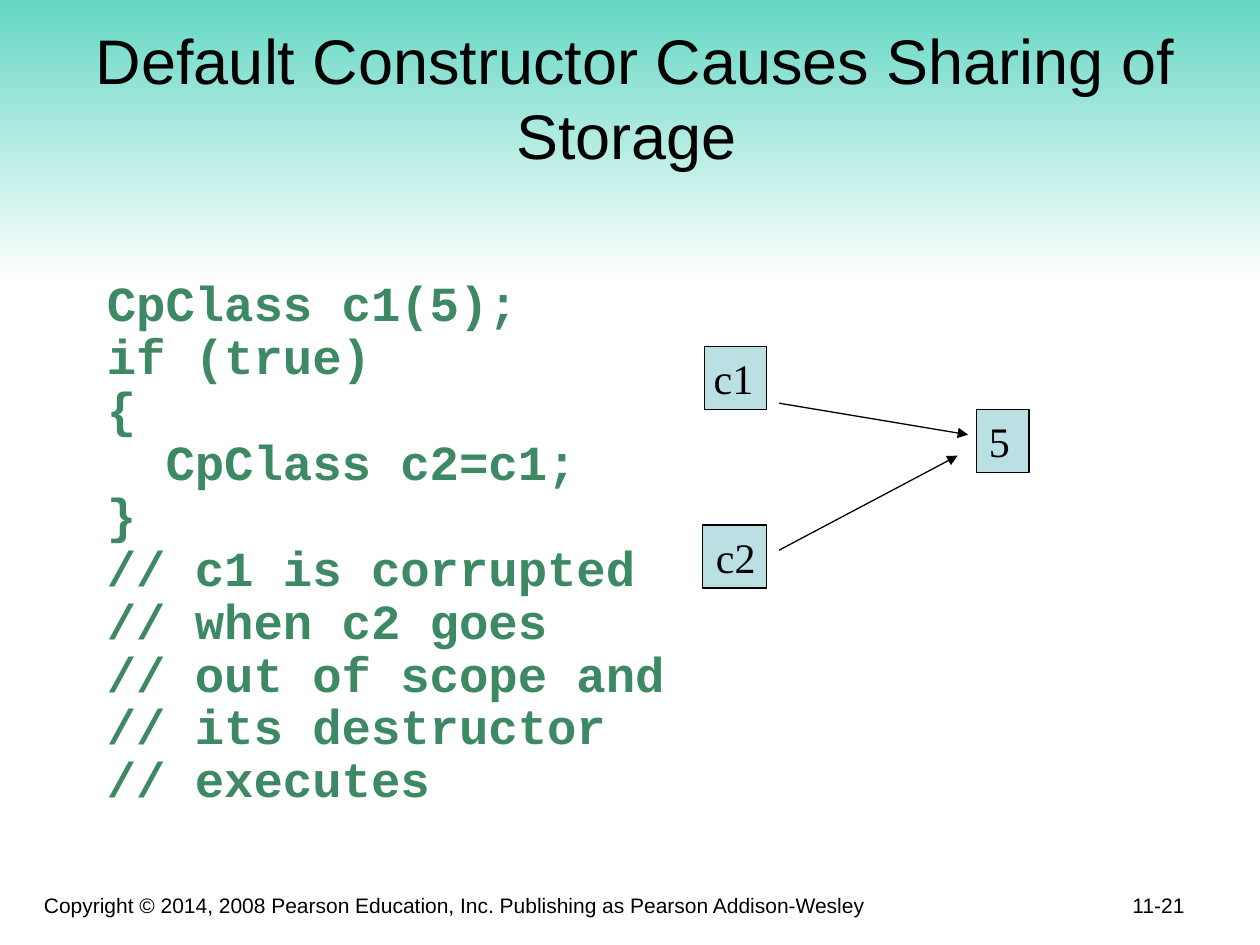
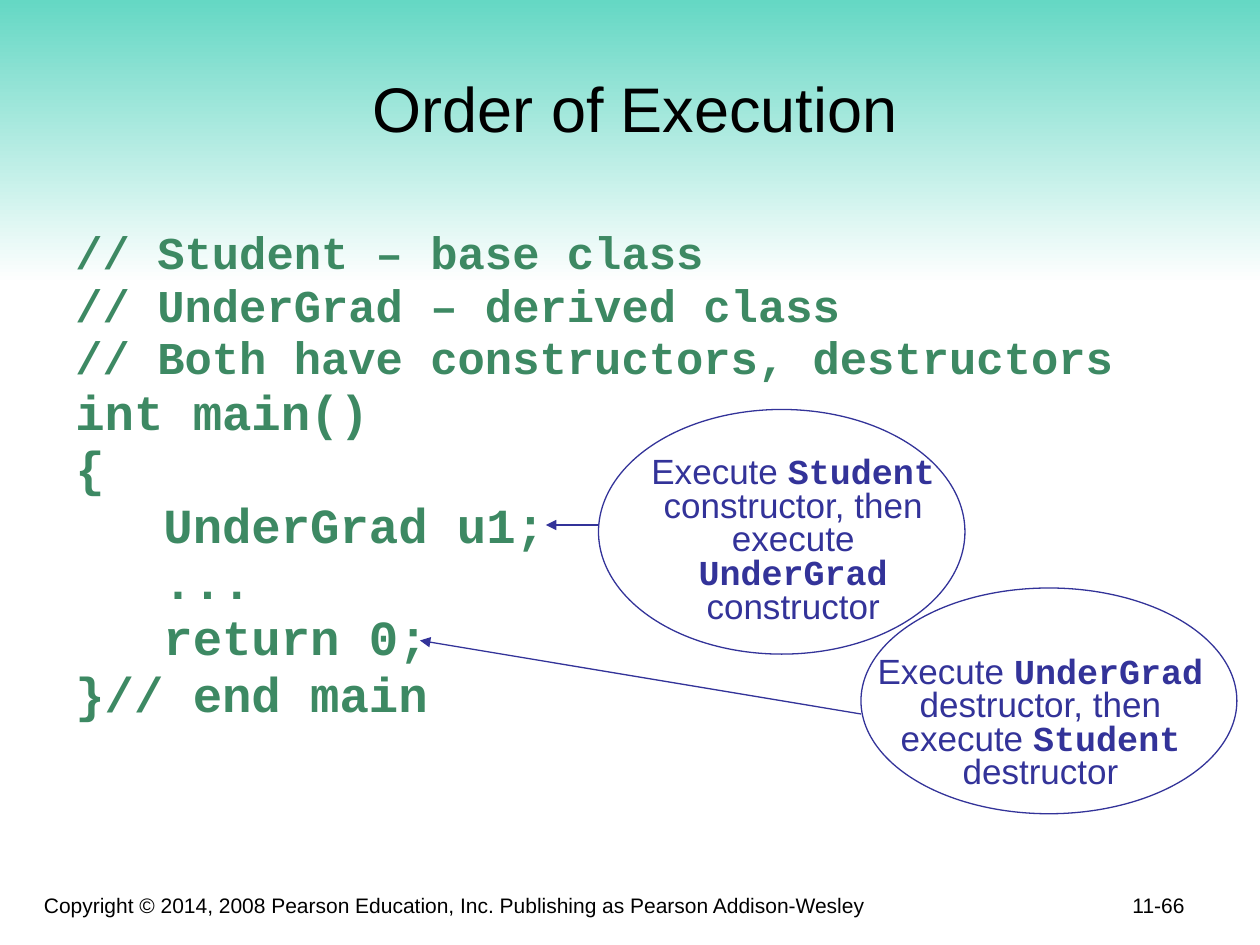
import pptx
import pptx.util
import pptx.dml.color
import pptx.enum.shapes
import pptx.enum.text
import pptx.oxml.ns
import lxml.etree

WIDE, HIGH = 10, 7.5
COLS, ROWS = 120, 90  # grid of twelfths of an inch
SANS, MONO, SERIF = "Arial", "Courier New", "Times New Roman"
BLACK, WHITE, GREEN, BLUE = "000000", "FFFFFF", "3D8963", "333399"
MINT, PALE = "5FD6C2", "BBE0E3"
THIN = 0.75
ALIGN = pptx.enum.text.PP_ALIGN
ANCHOR = pptx.enum.text.MSO_ANCHOR
SHAPE = pptx.enum.shapes.MSO_SHAPE


def tint(code):
    return pptx.dml.color.RGBColor.from_string(code)


def across(col):
    return pptx.util.Inches(col * WIDE / COLS)


def down(row):
    return pptx.util.Inches(row * HIGH / ROWS)


def place(box):
    col, row, wide, high = box
    return across(col), down(row), across(wide), down(high)


def add_run(para, text, size, font, color, bold=False):
    run = para.add_run()
    run.text = text
    run.font.size = pptx.util.Pt(size)
    run.font.name = font
    run.font.bold = bold
    run.font.color.rgb = tint(color)


def add_text(slide, box, anchor=ANCHOR.TOP, right=0.1):
    frame = slide.shapes.add_textbox(*place(box)).text_frame
    frame.word_wrap = True
    frame.vertical_anchor = anchor
    frame.margin_right = pptx.util.Inches(right)
    return frame


def add_line(slide, text, box, size, align):
    """One text in the sans face, set on the bottom of its box."""
    para = add_text(slide, box, ANCHOR.BOTTOM).paragraphs[0]
    para.alignment = align
    add_run(para, text, size, SANS, BLACK)


def add_code(slide, box, lines, pitch, lead=0, hang=0):
    """Lines are (text, size); lead is the space before, as a share of size."""
    frame = add_text(slide, box, right=0)
    for num, (text, size) in enumerate(lines):
        para = frame.add_paragraph() if num else frame.paragraphs[0]
        para.line_spacing = pitch
        para.space_before = pptx.util.Pt(size * lead if num else 0)
        if hang:
            props = para._p.get_or_add_pPr()
            props.set("marL", str(pptx.util.Inches(hang)))
            props.set("indent", str(-pptx.util.Inches(hang)))
        add_run(para, text, size, MONO, GREEN, True)


def add_form(slide, kind, box, line, fill=None):
    form = slide.shapes.add_shape(kind, *place(box))
    form.shadow.inherit = False
    form.line.color.rgb = tint(line)
    form.line.width = pptx.util.Pt(THIN)
    if fill:
        form.fill.solid()
        form.fill.fore_color.rgb = tint(fill)
    else:
        form.fill.background()


def add_arrow(slide, start, end, color):
    arrow = slide.shapes.add_connector(
        pptx.enum.shapes.MSO_CONNECTOR.STRAIGHT,
        across(start[0]), down(start[1]), across(end[0]), down(end[1]))
    arrow.line.color.rgb = tint(color)
    arrow.line.width = pptx.util.Pt(THIN)
    name = pptx.oxml.ns.qn
    lxml.etree.SubElement(arrow.line._get_or_add_ln(), name("a:tailEnd"), type="triangle")
    lxml.etree.SubElement(arrow._element.spPr, name("a:effectLst"))


def add_cell(slide, text, box, label):
    """A filled box for a variable, with its label on top."""
    add_form(slide, SHAPE.RECTANGLE, box, BLACK, PALE)
    para = add_text(slide, label, right=0).paragraphs[0]
    add_run(para, text, 24, SERIF, BLACK)


def add_note(slide, words, box, oval):
    """Words alternate between plain text and class names."""
    para = add_text(slide, box).paragraphs[0]
    para.alignment = ALIGN.CENTER
    para.line_spacing = 0.8
    for num, text in enumerate(words):
        code = num % 2 == 1
        add_run(para, text, 20, MONO if code else SANS, BLUE, code)
    add_form(slide, SHAPE.OVAL, oval, BLUE)


def add_base(deck, title, page, high):
    """A slide with the shared band, footer, title and page number."""
    slide = deck.slides.add_slide(deck.slide_layouts[6])
    slide.background.fill.solid()
    slide.background.fill.fore_color.rgb = tint(WHITE)
    band = slide.shapes.add_shape(SHAPE.RECTANGLE, *place((0, -1, COLS, 28)))
    band.shadow.inherit = False
    band.line.fill.background()
    band.fill.gradient()
    band.fill.gradient_angle = 270
    for stop, color, spot in zip(band.fill.gradient_stops, (MINT, WHITE), (0, 1)):
        stop.color.rgb = tint(color)
        stop.position = spot
    add_line(slide, "Copyright © 2014, 2008 Pearson Education, Inc. "
             "Publishing as Pearson Addison-Wesley", (3, 83, 81, 5), 12, ALIGN.LEFT)
    add_line(slide, title, (4, 4, 113, high), 36, ALIGN.CENTER)
    add_line(slide, page, (89, 82, 25, 6), 12, ALIGN.RIGHT)
    return slide


def add_share(deck):
    slide = add_base(deck, "Default Constructor Causes Sharing of Storage ", "11-21", 13)
    code = ("CpClass c1(5);", "if (true)", "{", "  CpClass c2=c1;", "}",
            "// c1 is corrupted", "// when c2 goes", "// out of scope and",
            "// its destructor", "// executes")
    add_code(slide, (9, 26, 55, 59), [(text, 28) for text in code], 0.9)
    # Two objects that point at one value
    add_cell(slide, "c1", (67.1, 33, 5.9, 6), (66.8, 33, 6.2, 6))
    add_cell(slide, "c2", (66.9, 50, 6.1, 6), (67, 50, 6.1, 6))
    add_cell(slide, "5", (93, 39, 5, 6), (93, 39, 4.3, 6))
    add_arrow(slide, (74.2, 38.4), (92.2, 41.4), BLACK)
    add_arrow(slide, (74.2, 52.4), (91.2, 43.4), BLACK)


def add_order(deck):
    slide = add_base(deck, "Order of Execution", "11-66", 10.4)
    heads = ("// Student – base class", "// UnderGrad – derived class",
             "// Both have constructors, destructors")
    body = ("int main()", "{", "   UnderGrad u1;", "   ...", "   return 0;", "}// end main")
    lines = [(text, 26) for text in heads] + [(text, 28) for text in body]
    add_code(slide, (6, 22, 105, 54), lines, 0.75, 0.25, 0.38)
    # Notes on what runs at each step
    add_arrow(slide, (57, 50), (52, 50), BLUE)
    add_arrow(slide, (82, 68), (40, 61), BLUE)
    add_note(slide, ("Execute ", "Student", " constructor, then execute ",
                     "UnderGrad", " constructor"),
             (59.1, 43, 32.9, 17.3), (57, 39, 34.9, 23.3))
    add_note(slide, ("Execute ", "UnderGrad", " destructor, then execute ",
                     "Student", " destructor"),
             (81, 62, 36.2, 14), (82, 56, 35.8, 21.5))


def main():
    deck = pptx.Presentation()
    deck.slide_width = pptx.util.Inches(WIDE)
    deck.slide_height = pptx.util.Inches(HIGH)
    add_share(deck)
    add_order(deck)
    deck.save("out.pptx")


if __name__ == "__main__":
    main()
